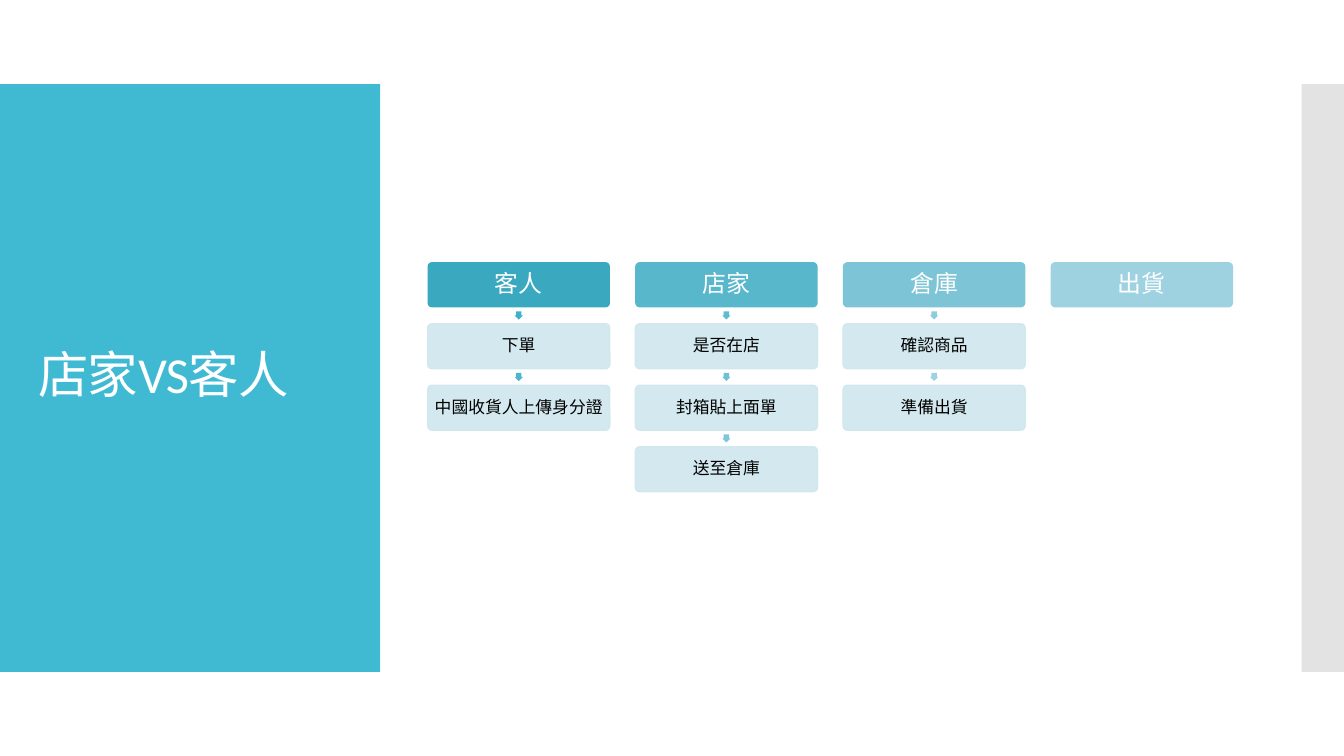
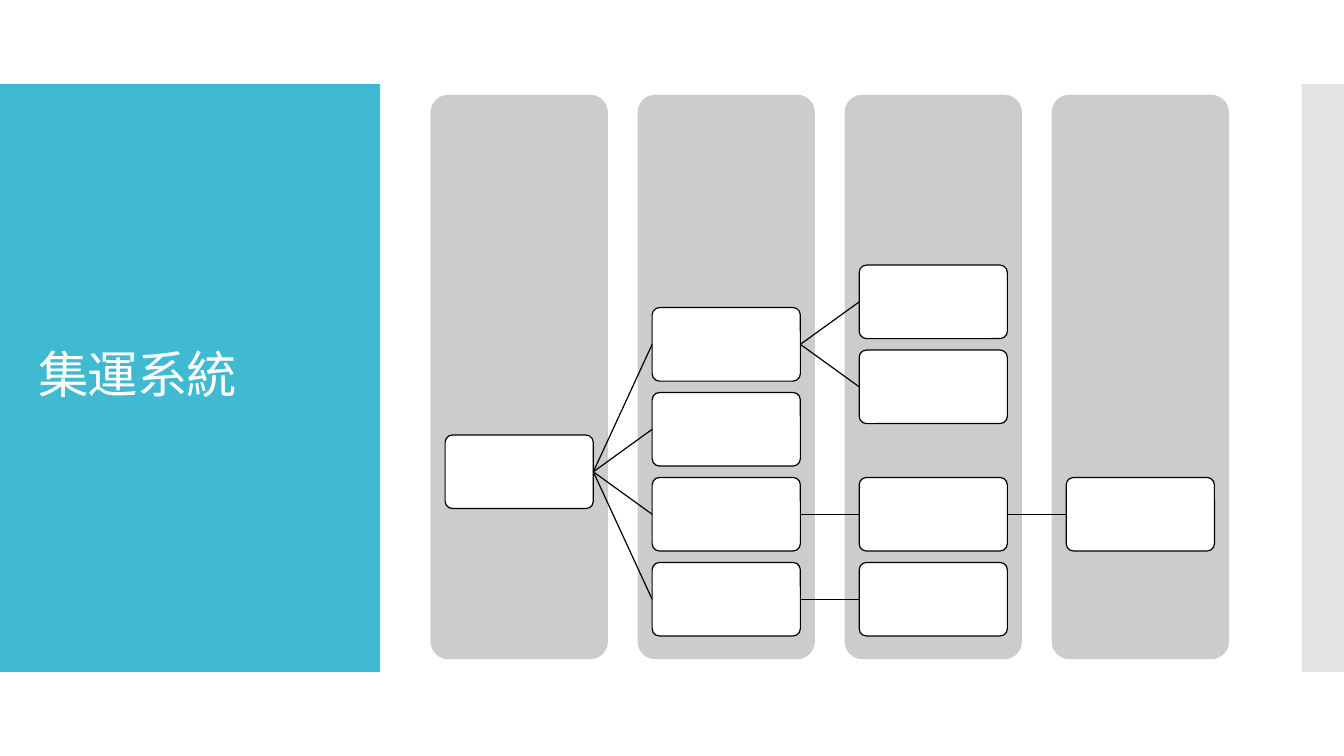
import dataclasses

import pptx
import pptx.dml.color
import pptx.enum.shapes
import pptx.enum.text
import pptx.oxml
import pptx.oxml.ns
import pptx.util

SHAPES = pptx.enum.shapes.MSO_SHAPE
ALIGN = pptx.enum.text.PP_ALIGN
MIDDLE = pptx.enum.text.MSO_ANCHOR.MIDDLE


@dataclasses.dataclass(frozen=True)
class Theme:
    """Colours, font and type sizes shared by the slides."""
    font: str = "Calibri"
    panel: str = "40BAD2"
    edge: str = "C8C8C8"
    white: str = "FFFFFF"
    ink: str = "000000"
    step: str = "CFE7EE"
    lane: str = "CCCCCC"
    title_size: float = 36
    heading_size: float = 17
    step_size: float = 12
    outline: float = 0.85
    corner: float = 0.1


@dataclasses.dataclass(frozen=True)
class Grid:
    """Cells of equal size at equal steps, in inches."""
    left: float
    top: float
    column_step: float
    row_step: float
    width: float
    height: float

    def cell(self, column, row):
        """Return left, top, width and height of one cell."""
        return (self.left + column * self.column_step,
                self.top + row * self.row_step, self.width, self.height)


THEME = Theme()
SLIDE_WIDTH, SLIDE_HEIGHT = 13.33, 7.5
BAND_TOP, BAND_HEIGHT = SLIDE_HEIGHT / 9, SLIDE_HEIGHT * 7 / 9
PANEL_WIDTH, EDGE_WIDTH = 3.77, 0.42

PROCESS_GRID = Grid(4.24, 2.6, 2.06, 0.61, 1.81, 0.45)
ARROW_SIZE = 0.08
PROCESS = [
    # heading, heading colour, steps, arrow colours
    ("客人", "3AA9BF", ["下單", "中國收貨人上傳身分證"], ["3DB2C9", "4DB6CC"]),
    ("店家", "59B7CC", ["是否在店", "封箱貼上面單", "送至倉庫"],
     ["5EBBD0", "6EC1D4", "7EC6D8"]),
    ("倉庫", "7CC4D6", ["確認商品", "準備出貨"], ["8DCCDD", "9DD2E1"]),
    ("出貨", "9ED2E1", [], []),
]

LANE_STEP = (10.43 - 4.27) / 3
LANE_GRID = Grid(4.27, 0.94, LANE_STEP, 0, 1.76, 5.6)
NODE_WIDTH = 1.47
NODE_GRID = Grid(LANE_GRID.left + (LANE_GRID.width - NODE_WIDTH) / 2, 2.63,
                 LANE_STEP, (5.58 - 2.63) / 7, NODE_WIDTH, 0.73)
# (lane, half row) of each node, followed by its children
TREE = ((0, 4), [
    ((1, 1), [((2, 0), []), ((2, 2), [])]),
    ((1, 3), []),
    ((1, 5), [((2, 5), [((3, 5), [])])]),
    ((1, 7), [((2, 7), [])]),
])


def rgb(code):
    """Turn a hex code into a colour."""
    return pptx.dml.color.RGBColor.from_string(code)


def inches(lengths):
    """Convert a sequence of inches to slide units."""
    return [pptx.util.Inches(length) for length in lengths]


def set_opacity(shape, percent):
    """Make the fill and outline of a shape partly transparent."""
    for colour in shape.element.spPr.iter(pptx.oxml.ns.qn("a:srgbClr")):
        alpha = pptx.oxml.parse_xml(
            f'<a:alpha {pptx.oxml.ns.nsdecls("a")} val="{percent * 1000}"/>')
        colour.append(alpha)


def add_block(slide, kind, box, fill, line=None, width=0.75, corner=None):
    """Add a flat preset shape with an optional outline and corner."""
    block = slide.shapes.add_shape(kind, *inches(box))
    block.shadow.inherit = False
    block.fill.solid()
    block.fill.fore_color.rgb = rgb(fill)
    if line:
        block.line.color.rgb = rgb(line)
        block.line.width = pptx.util.Pt(width)
    else:
        block.line.fill.background()
    if corner is not None:
        block.adjustments[0] = corner
    return block


def write(shape, text, size, colour, align):
    """Put one formatted paragraph into a shape."""
    frame = shape.text_frame
    frame.text = text
    frame.word_wrap = True
    frame.vertical_anchor = MIDDLE
    paragraph = frame.paragraphs[0]
    paragraph.alignment = align
    paragraph.line_spacing = 0.9
    paragraph.font.name = THEME.font
    paragraph.font.size = pptx.util.Pt(size)
    paragraph.font.color.rgb = rgb(colour)


def add_label_block(slide, box, text, size, colour, fill, line=None):
    """Add a rounded block with a centred label."""
    block = add_block(slide, SHAPES.ROUNDED_RECTANGLE, box, fill, line,
                      corner=THEME.corner)
    write(block, text, size, colour, ALIGN.CENTER)
    frame = block.text_frame
    frame.margin_left = frame.margin_right = pptx.util.Inches(0.02)
    frame.margin_top = frame.margin_bottom = pptx.util.Inches(0.02)
    return block


def add_link(slide, parent, child):
    """Join the right side of one node to the left side of another."""
    link = slide.shapes.add_connector(
        pptx.enum.shapes.MSO_CONNECTOR.STRAIGHT, 0, 0, 0, 0)
    link.begin_connect(parent, 3)
    link.end_connect(child, 1)
    link.line.color.rgb = rgb(THEME.ink)
    link.line.width = pptx.util.Pt(THEME.outline)
    link.element.spPr.append(pptx.oxml.parse_xml(
        f'<a:effectLst {pptx.oxml.ns.nsdecls("a")}/>'))


def prepare_layout(deck):
    """Give the title-only layout its bands and title position."""
    layout = deck.slide_layouts[5]
    title = layout.placeholders[0]
    title.left, title.top, title.width, title.height = inches(
        (0.28, 1.23, 3.22, 5.03))
    draft = deck.slides.add_slide(layout)
    panel = add_block(draft, SHAPES.RECTANGLE,
                      (0, BAND_TOP, PANEL_WIDTH, BAND_HEIGHT), THEME.panel)
    edge = add_block(draft, SHAPES.RECTANGLE,
                     (SLIDE_WIDTH - EDGE_WIDTH, BAND_TOP, EDGE_WIDTH,
                      BAND_HEIGHT), THEME.edge)
    set_opacity(edge, 50)
    for position, band in enumerate((panel, edge), start=2):
        layout.shapes.element.insert(position, band.element)
    return layout, draft


def set_title(slide, text):
    """Write the slide title in the shared style."""
    title = slide.shapes.title
    write(title, text, THEME.title_size, THEME.white, ALIGN.LEFT)
    for style in title.element.iter(pptx.oxml.ns.qn("a:defRPr")):
        style.set("spc", "-60")


def build_process(slide):
    """Draw the columns of order steps under their headings."""
    set_title(slide, "店家VS客人")
    grid = PROCESS_GRID
    for column, (heading, colour, steps, arrows) in enumerate(PROCESS):
        add_label_block(slide, grid.cell(column, 0), heading,
                        THEME.heading_size, THEME.white, colour)
        for row, (step, arrow_colour) in enumerate(zip(steps, arrows), 1):
            left, top, width, height = grid.cell(column, row)
            gap = grid.row_step - height
            arrow = add_block(slide, SHAPES.DOWN_ARROW,
                              (left + (width - ARROW_SIZE) / 2,
                               top - (gap + ARROW_SIZE) / 2,
                               ARROW_SIZE, ARROW_SIZE), arrow_colour)
            arrow.adjustments[0] = 0.67
            block = add_label_block(slide, (left, top, width, height), step,
                                    THEME.step_size, THEME.ink, THEME.step,
                                    THEME.step)
            set_opacity(block, 90)


def add_branch(slide, branch):
    """Draw a node, its children and the links between them."""
    place, children = branch
    node = add_block(slide, SHAPES.ROUNDED_RECTANGLE, NODE_GRID.cell(*place),
                     THEME.white, THEME.ink, THEME.outline, THEME.corner)
    for child in children:
        add_link(slide, node, add_branch(slide, child))
    return node


def build_system(slide):
    """Draw the system tree over its lanes."""
    set_title(slide, "集運系統")
    for lane in range(4):
        add_block(slide, SHAPES.ROUNDED_RECTANGLE, LANE_GRID.cell(lane, 0),
                  THEME.lane, corner=THEME.corner)
    add_branch(slide, TREE)


def main():
    """Build and save the deck."""
    deck = pptx.Presentation()
    deck.slide_width, deck.slide_height = inches((SLIDE_WIDTH, SLIDE_HEIGHT))
    layout, process_slide = prepare_layout(deck)
    build_process(process_slide)
    build_system(deck.slides.add_slide(layout))
    deck.save("out.pptx")


main()
